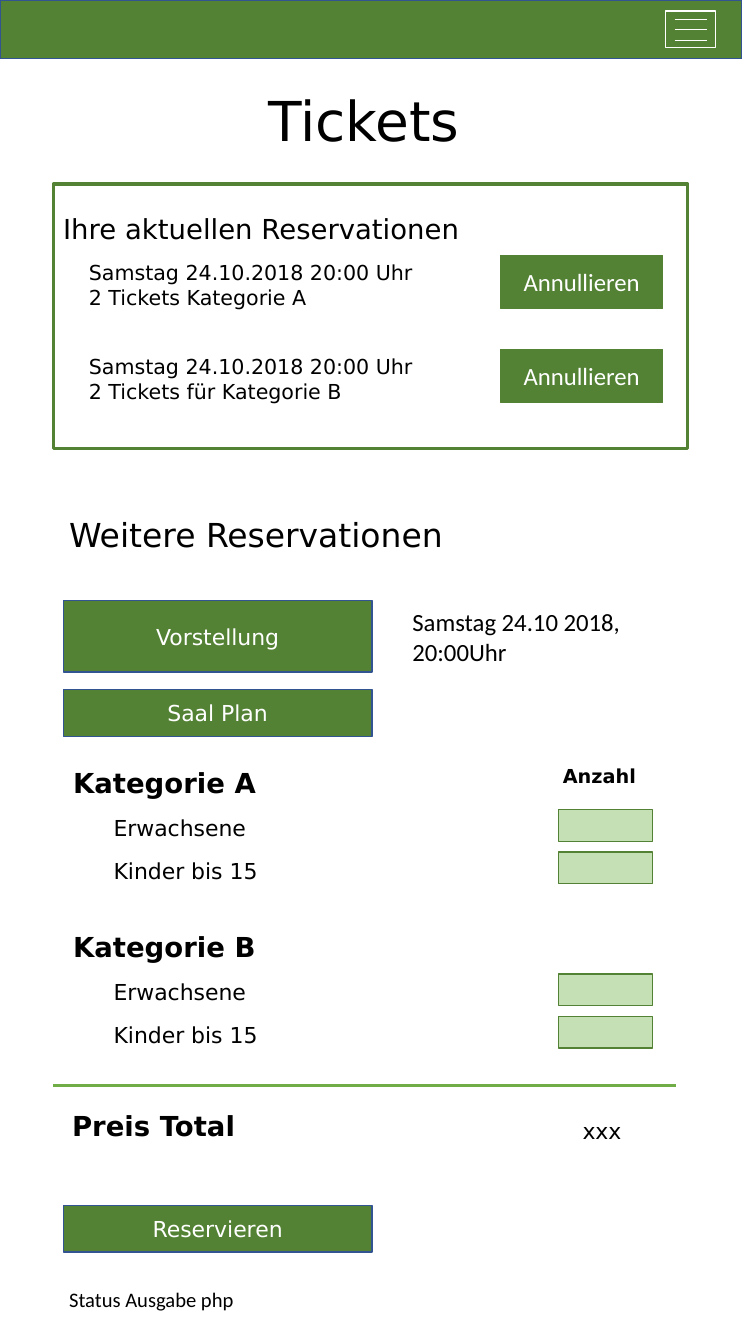
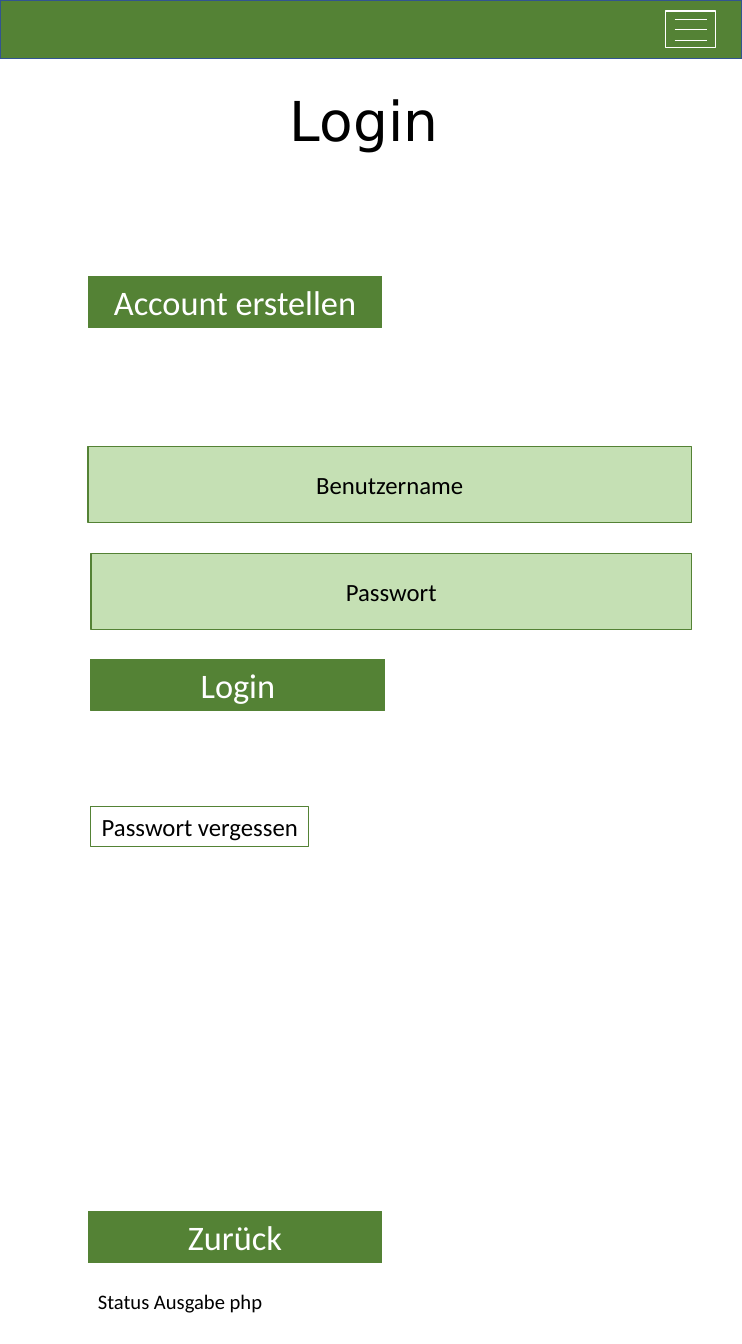
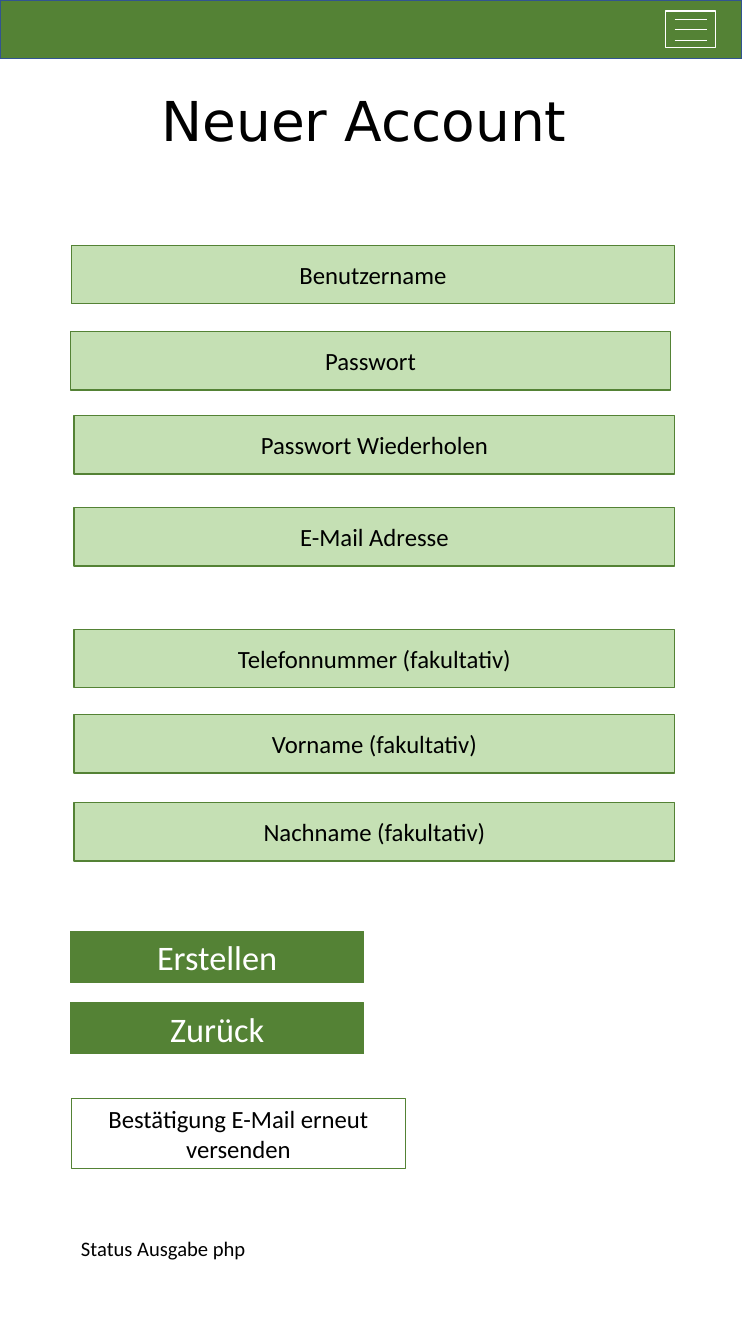
from lxml import etree
from pptx import Presentation
from pptx import util as u
from pptx.dml.color import RGBColor
from pptx.enum import shapes, text
from pptx.oxml import ns

# Shared style: a slide of 75 columns by 135.8 rows
COLUMNS, ROWS = 75, 135.8
CELL = u.Inches(0.1)
COLORS = {
    "green": "548235",
    "pale": "C5E0B4",
    "accent": "70AD47",
    "blue": "325491",
    "white": "FFFFFF",
    "black": "000000",
}
HEAD_FONT, FORM_FONT = "DejaVu Sans", "Calibri"
LEFT, CENTER = text.PP_ALIGN.LEFT, text.PP_ALIGN.CENTER
TOP, MIDDLE = text.MSO_ANCHOR.TOP, text.MSO_ANCHOR.MIDDLE


def cells(*counts):
    """Turn columns or rows of the grid into slide lengths."""
    return [round(count * CELL) for count in counts]


def color(name):
    return RGBColor.from_string(COLORS[name])


def write(shape, content, size=16, font=HEAD_FONT, ink="black", bold=False,
          align=LEFT, anchor=MIDDLE):
    """Fill a shape with text, one paragraph for each line."""
    frame = shape.text_frame
    frame.word_wrap = True
    frame.auto_size = text.MSO_AUTO_SIZE.NONE
    frame.vertical_anchor = anchor
    for index, line in enumerate(content.split("\n")):
        para = frame.add_paragraph() if index else frame.paragraphs[0]
        para.alignment = align
        span = para.add_run()
        span.text = line
        span.font.size = u.Pt(size)
        span.font.name = font
        span.font.bold = bold
        span.font.color.rgb = color(ink)


class Screen:
    """One slide of the app, with a method for each kind of element."""

    def __init__(self, deck, title):
        self.page = deck.slides.add_slide(deck.slide_layouts[5])
        self.shapes = self.page.shapes
        heading = self.shapes.title
        heading.left, heading.top, heading.width, heading.height = cells(6.3, 8.2, 61, 7.7)
        write(heading, title, size=40, align=CENTER, anchor=TOP)
        self.menu_band()

    def menu_band(self):
        self.box(0, 0, COLUMNS, 5.9, line="blue")
        icon = self.page.shapes.add_group_shape()
        self.shapes = icon.shapes
        self.box(67.3, 1.1, 5, 3.7, line="white")
        for row in (2, 3, 4.1):
            self.rule(68.2, 71.5, row, "white", 0.5)
        self.shapes = self.page.shapes

    def box(self, left, top, width, height, fill="green", line="green", weight=1):
        box = self.shapes.add_shape(shapes.MSO_SHAPE.RECTANGLE,
                                    *cells(left, top, width, height))
        box.shadow.inherit = False
        if fill:
            box.fill.solid()
            box.fill.fore_color.rgb = color(fill)
        else:
            box.fill.background()
        box.line.color.rgb = color(line)
        box.line.width = u.Pt(weight)
        return box

    def rule(self, start, end, row, ink, weight):
        rule = self.shapes.add_connector(shapes.MSO_CONNECTOR.STRAIGHT,
                                         *cells(start, row, end, row))
        rule.line.color.rgb = color(ink)
        rule.line.width = u.Pt(weight)
        etree.SubElement(rule._element.spPr, ns.qn("a:effectLst"))

    def label(self, content, left, top, width, height, **style):
        write(self.shapes.add_textbox(*cells(left, top, width, height)), content, **style)

    def menu_button(self, content, top, height=4.7):
        write(self.box(6.4, top, 31.2, height, line="blue"), content,
              ink="white", align=CENTER)

    def button(self, content, left, top, width=29.7, height=5.2, size=25):
        write(self.box(left, top, width, height, weight=0.75), content,
              size=size, font=FORM_FONT, ink="white", align=CENTER)

    def field(self, content, left, top, width, height):
        write(self.box(left, top, width, height, fill="pale"), content,
              size=18, font=FORM_FONT, align=CENTER)

    def link(self, content, left, top, width, height):
        write(self.box(left, top, width, height, fill="white", weight=0.75), content,
              size=18, font=FORM_FONT, align=CENTER)

    def status(self, left, top):
        self.label("Status Ausgabe php", left, top, 48.5, 3.2, size=15, font=FORM_FONT)


deck = Presentation()
deck.slide_width, deck.slide_height = cells(COLUMNS, ROWS)

# Tickets: current reservations
tickets = Screen(deck, "Tickets")
tickets.box(5.4, 18.6, 64.1, 26.7, fill=None, weight=2.25)
tickets.label("Ihre aktuellen Reservationen", 5.4, 20.9, 61, 4.4, size=20, anchor=TOP)
for index, seats in enumerate(("2 Tickets Kategorie A", "2 Tickets für Kategorie B")):
    row = 25.8 + 9.5 * index
    tickets.label("Samstag 24.10.2018 20:00 Uhr\n" + seats, 8, row, 41, 6.1,
                  size=15, anchor=TOP)
    tickets.button("Annullieren", 50.6, row, 16.4, 5.4, size=18)

# Tickets: further reservations
tickets.label("Weitere Reservationen", 6, 51.5, 61, 5, size=24, anchor=TOP)
tickets.menu_button("Vorstellung", 60.7, 7.2)
tickets.label("Samstag 24.10 2018, 20:00Uhr", 40.7, 60.7, 29.7, 7.2, size=18, font=FORM_FONT)
tickets.menu_button("Saal Plan", 69.7)
tickets.label("Anzahl", 55.9, 75.8, 10.5, 5.2, size=14, bold=True)
for category, top in (("Kategorie A", 75.5), ("Kategorie B", 92.1)):
    tickets.label(category, 6.4, top, 31.2, 7.1, size=20, bold=True)
    for index, guest in enumerate(("Erwachsene", "Kinder bis 15")):
        row = top + 5.8 + 4.3 * index
        tickets.label(guest, 10.5, row, 23.4, 4.7)
        tickets.box(56.45, row + 0.5, 9.5, 3.2, fill="pale")

# Tickets: total
tickets.rule(5.4, 68.3, 109.7, "accent", 2)
tickets.label("Preis Total", 6.3, 110.9, 31.2, 5.6, size=20, bold=True)
tickets.label("xxx", 56.1, 112, 9.5, 4.5, align=CENTER)
tickets.menu_button("Reservieren", 121.8)
tickets.status(6, 129.7)

# Login
login = Screen(deck, "Login")
login.button("Account erstellen", 8.9, 27.9)
login.field("Benutzername", 8.9, 45.1, 61, 7.7)
login.field("Passwort", 9.2, 55.9, 60.7, 7.7)
login.button("Login", 9.2, 66.6)
login.link("Passwort vergessen", 9.2, 81.5, 22, 4)
login.button("Zurück", 8.9, 122.4)
login.status(8.9, 129.9)

# New account
account = Screen(deck, "Neuer Account")
for name, left, top, width in (
    ("Benutzername", 7.2, 24.8, 61),
    ("Passwort", 7.1, 33.5, 60.7),
    ("Passwort Wiederholen", 7.5, 42, 60.7),
    ("E-Mail Adresse", 7.5, 51.3, 60.7),
    ("Telefonnummer (fakultativ)", 7.5, 63.6, 60.7),
    ("Vorname (fakultativ)", 7.5, 72.2, 60.7),
    ("Nachname (fakultativ)", 7.5, 81.1, 60.7),
):
    account.field(name, left, top, width, 5.9)
account.button("Erstellen", 7.1, 94.1)
account.button("Zurück", 7.1, 101.3)
account.link("Bestätigung E-Mail erneut versenden", 7.2, 111, 33.8, 7.1)
account.status(7.2, 124.5)

deck.save("out.pptx")
